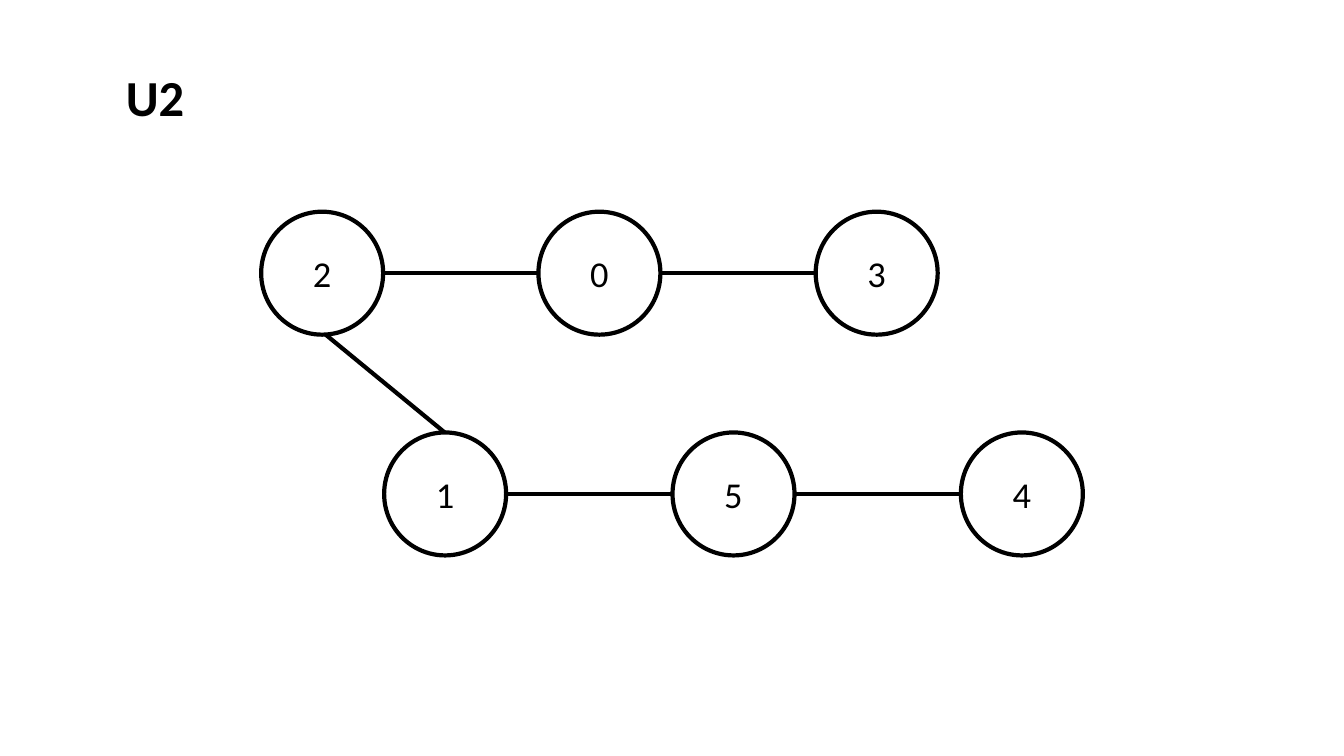
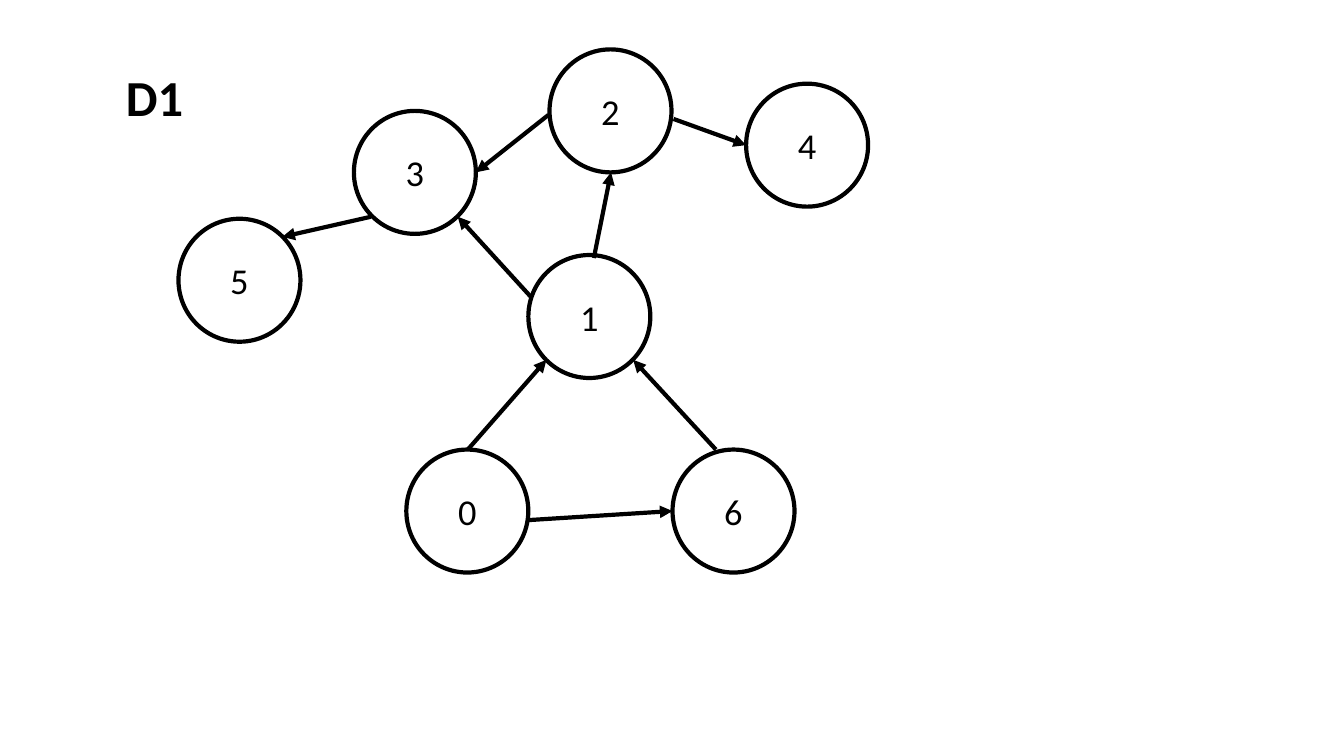
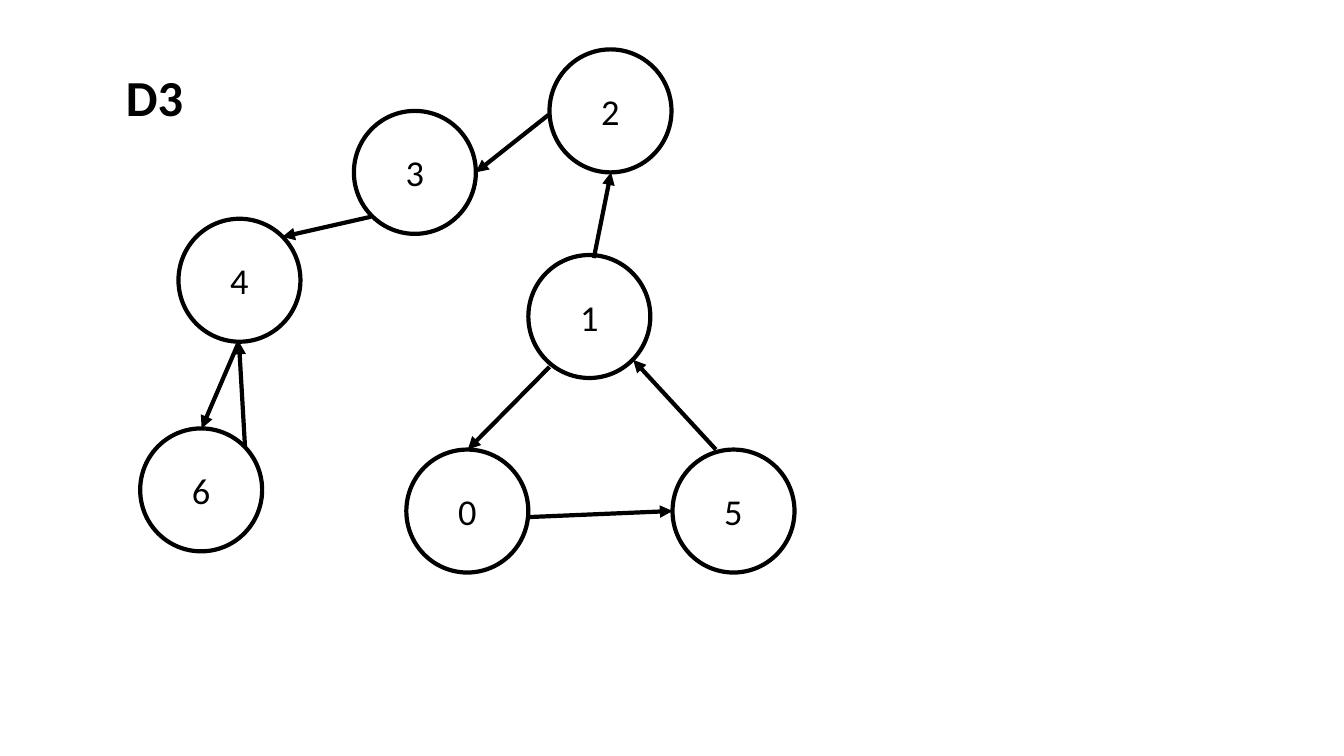
from lxml.etree import SubElement
from pptx import Presentation
from pptx.dml.color import RGBColor
from pptx.enum.shapes import MSO_CONNECTOR, MSO_SHAPE
from pptx.enum.text import MSO_ANCHOR, MSO_AUTO_SIZE, PP_ALIGN
from pptx.oxml.ns import qn
from pptx.util import Inches, Pt

# Shared style
COLORS = {"ink": "000000", "background": "FFFFFF"}
INK = RGBColor.from_string(COLORS["ink"])
FONT = "Calibri"
NODE_WIDTH, NODE_HEIGHT = 1.21, 1.22
LINE_WIDTH = Pt(3)


def write_text(shape, text, size, bold=False):
    shape.text_frame.text = text
    font = shape.text_frame.paragraphs[0].runs[0].font
    font.name, font.size, font.bold = FONT, Pt(size), bold
    font.color.rgb = INK


# U2: two rows of evenly spaced nodes, joined by level edges
u2_nodes = {}
u2_edges = [((3.23, 3.32), (4.41, 4.29))]
for labels, left, top, pitch in [("203", 2.59, 2.1, 2.75), ("154", 3.81, 4.29, 2.86)]:
    middle = top + NODE_HEIGHT / 2
    for index, label in enumerate(labels):
        node_left = left + index * pitch
        u2_nodes[label] = (node_left, top)
        if index:
            u2_edges.append(((node_left - pitch + NODE_WIDTH, middle), (node_left, middle)))

# D1 and D3: shared node places and shared arrows (start, end)
PLACES = {
    "upper left": (3.51, 1.1),
    "center": (5.24, 2.53),
    "far left": (1.77, 2.17),
    "lower left": (4.03, 4.46),
    "top": (5.45, 0.49),
    "lower right": (6.67, 4.46),
    "upper right": (7.4, 0.83),
    "bottom left": (1.39, 4.25),
}
SHARED_ARROWS = [
    ((7.1, 4.46), (6.28, 3.57)),
    ((5.89, 2.56), (6.06, 1.71)),
    ((5.44, 1.14), (4.72, 1.71)),
    ((3.68, 2.15), (2.8, 2.35)),
]
d1_nodes = {
    "3": PLACES["upper left"], "1": PLACES["center"], "5": PLACES["far left"],
    "0": PLACES["lower left"], "4": PLACES["upper right"], "2": PLACES["top"],
    "6": PLACES["lower right"],
}
d1_arrows = SHARED_ARROWS + [
    ((4.64, 4.46), (5.42, 3.57)),
    ((6.68, 1.18), (7.4, 1.44)),
    ((5.24, 5.16), (6.67, 5.07)),
    ((5.27, 2.95), (4.54, 2.15)),
]
d3_nodes = {
    "3": PLACES["upper left"], "1": PLACES["center"], "4": PLACES["far left"],
    "0": PLACES["lower left"], "2": PLACES["top"], "5": PLACES["lower right"],
    "6": PLACES["bottom left"],
}
d3_arrows = SHARED_ARROWS + [
    ((5.45, 3.64), (4.64, 4.46)),
    ((2.37, 3.39), (2, 4.25)),
    ((2.43, 4.43), (2.37, 3.39)),
    ((5.24, 5.13), (6.67, 5.07)),
]

graphs = [
    ("U2", u2_nodes, u2_edges, False),
    ("D1", d1_nodes, d1_arrows, True),
    ("D3", d3_nodes, d3_arrows, True),
]

presentation = Presentation()
presentation.slide_width = Inches(13.33)
presentation.slide_height = Inches(7.5)

for title, nodes, edges, directed in graphs:
    slide = presentation.slides.add_slide(presentation.slide_layouts[6])
    slide.background.fill.solid()
    slide.background.fill.fore_color.rgb = RGBColor.from_string(COLORS["background"])

    # Title
    title_box = slide.shapes.add_textbox(Inches(1.15), Inches(0.61), Inches(1.9), Inches(0.71))
    title_box.text_frame.word_wrap = True
    title_box.text_frame.auto_size = MSO_AUTO_SIZE.SHAPE_TO_FIT_TEXT
    write_text(title_box, title, 36, bold=True)

    # Nodes
    for label, (left, top) in nodes.items():
        node = slide.shapes.add_shape(MSO_SHAPE.OVAL, Inches(left), Inches(top),
                                      Inches(NODE_WIDTH), Inches(NODE_HEIGHT))
        node.shadow.inherit = False
        node.fill.background()
        node.line.color.rgb = INK
        node.line.width = LINE_WIDTH
        node.text_frame.vertical_anchor = MSO_ANCHOR.MIDDLE
        write_text(node, label, 26)
        node.text_frame.paragraphs[0].alignment = PP_ALIGN.CENTER

    # Edges, with arrowheads on directed graphs
    for start, end in edges:
        edge = slide.shapes.add_connector(
            MSO_CONNECTOR.STRAIGHT, *[Inches(value) for value in start + end])
        edge.line.color.rgb = INK
        edge.line.width = LINE_WIDTH
        properties = edge.element.spPr
        if directed:
            SubElement(properties.find(qn("a:ln")), qn("a:tailEnd"), type="triangle")
        SubElement(properties, qn("a:effectLst"))

presentation.save("out.pptx")
